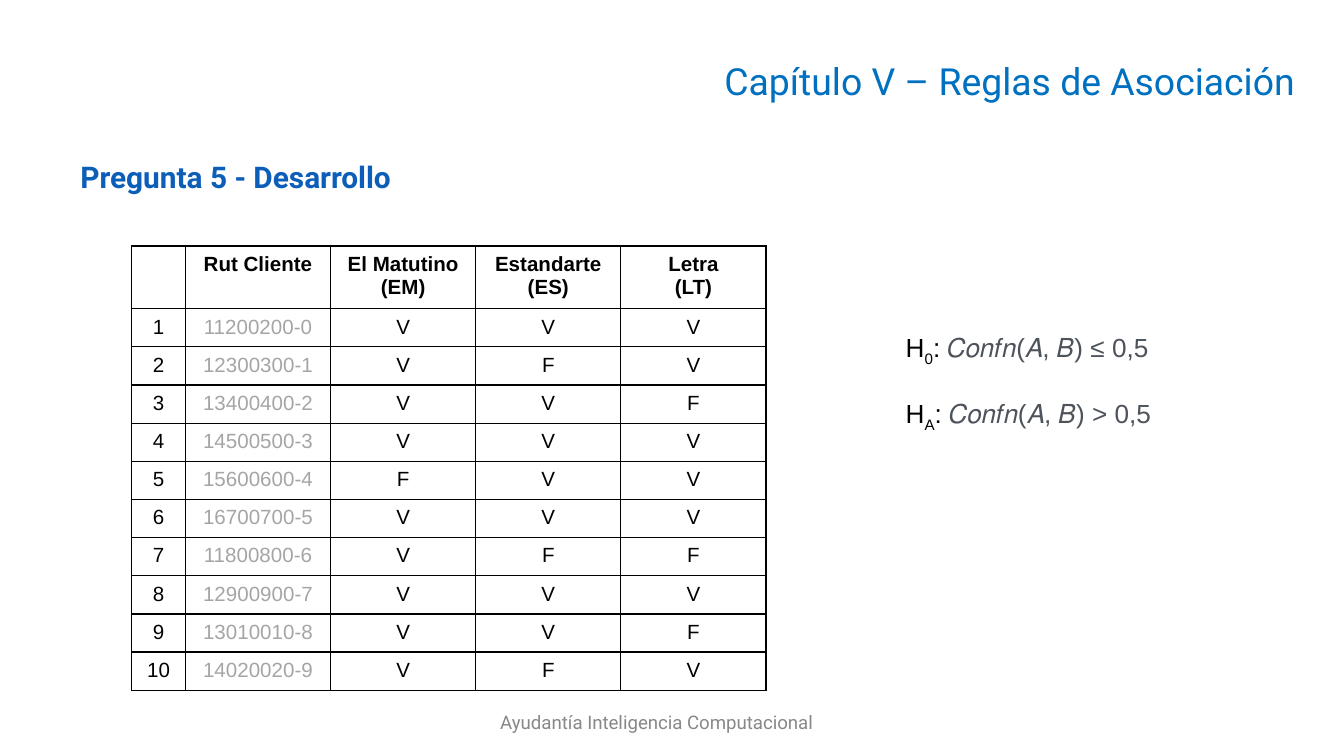
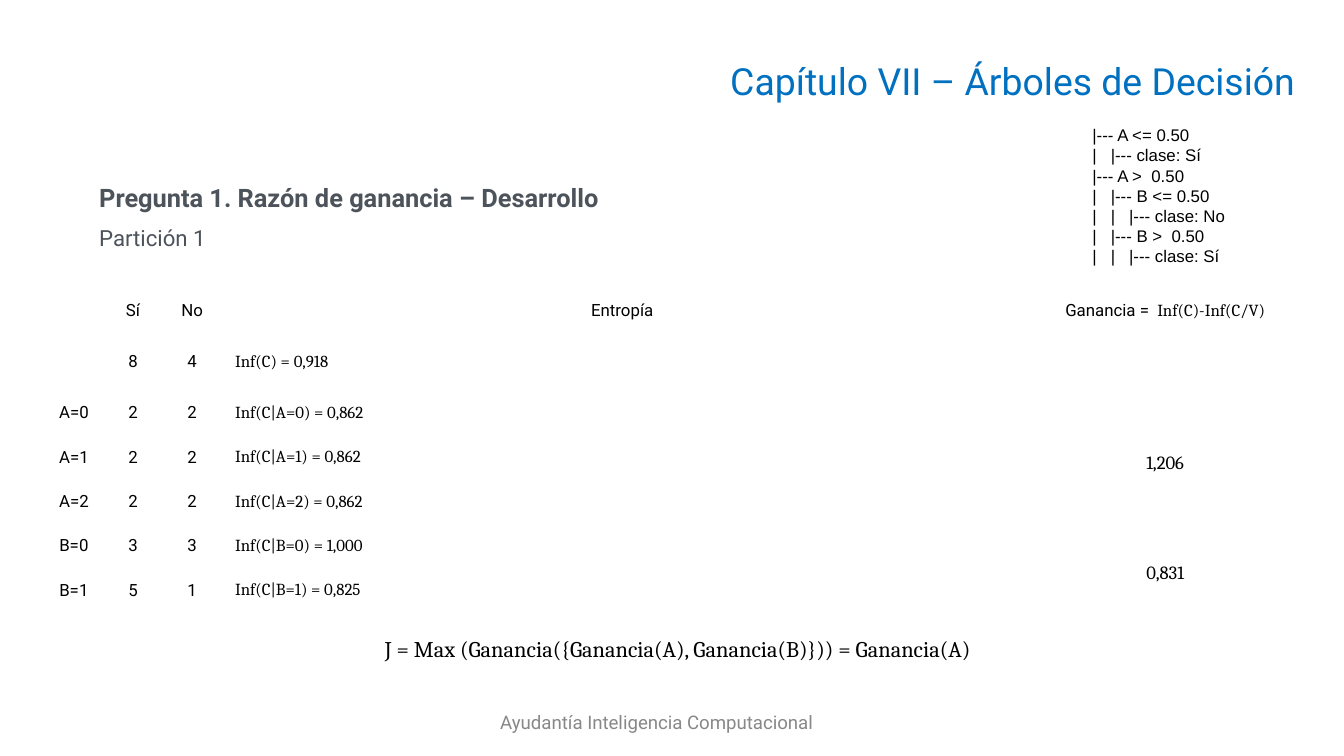
from lxml import etree
from pptx import Presentation
from pptx.dml.color import RGBColor
from pptx.enum import text
from pptx.oxml import ns
from pptx.util import Inches, Pt

COLORS = {"title": "0070C0", "heading": "0C5EB8", "body": "4D535B",
          "black": "000000", "muted": "A5A5A5", "footer": "888888"}
SANS, SERIF, PLAIN = "Roboto", "Cambria", "Arial"
ALIGN, ANCHOR = text.PP_ALIGN, text.MSO_ANCHOR
FOOTER = "Ayudantía Inteligencia Computacional"


def style(font, size=None, name=None, color=None, bold=None):
    if size:
        font.size = Pt(size)
    if name:
        font.name = name
    if color:
        font.color.rgb = RGBColor.from_string(COLORS[color])
    if bold is not None:
        font.bold = bold


def add_run(p, words, subscript=False, **look):
    r = p.add_run()
    r.text = words
    style(r.font, **look)
    if subscript:
        r._r.get_or_add_rPr().set("baseline", "-25000")


def write(tf, lines, align=ALIGN.LEFT, **look):
    """Put one equally styled paragraph per line into a text frame."""
    tf.text = "\n".join(lines)
    for p in tf.paragraphs:
        p.alignment = align
        style(p.font, **look)


def add_text_box(s, box, lines=("",), anchor=ANCHOR.TOP, **look):
    tf = s.shapes.add_textbox(*map(Inches, box)).text_frame
    tf.word_wrap = True
    tf.vertical_anchor = anchor
    write(tf, lines, **look)
    return tf


def add_base_slide(prs, title):
    """Add a slide with the shared title style and footer."""
    s = prs.slides.add_slide(prs.slide_layouts[5])
    sp = s.shapes.title
    sp.left, sp.top, sp.width, sp.height = map(Inches, (2.09, 0.29, 7.65, 0.62))
    tf = sp.text_frame
    tf.auto_size = text.MSO_AUTO_SIZE.NONE
    tf.vertical_anchor = ANCHOR.MIDDLE
    write(tf, [title], ALIGN.RIGHT, size=20, name=SANS, color="title")
    add_text_box(s, (2.05, 5.18, 5.67, 0.39), [FOOTER], ANCHOR.MIDDLE,
                 align=ALIGN.CENTER, size=10, name=SANS, color="footer")
    return s


def add_plain_table(s, left, top, widths, heights):
    """Add a table without banding or fills."""
    box = map(Inches, (left, top, sum(widths), sum(heights)))
    table = s.shapes.add_table(len(heights), len(widths), *box).table
    table.first_row = table.horz_banding = False
    for column, width in zip(table.columns, widths):
        column.width = Inches(width)
    for row, height in zip(table.rows, heights):
        row.height = Inches(height)
    for cell in table.iter_cells():
        cell.fill.background()
    return table


def set_borders(cell, color, width):
    tcPr = cell._tc.get_or_add_tcPr()
    for i, side in enumerate(("lnL", "lnR", "lnT", "lnB")):
        ln = etree.Element(ns.qn("a:" + side), w=str(Pt(width)))
        fill = etree.SubElement(ln, ns.qn("a:solidFill"))
        etree.SubElement(fill, ns.qn("a:srgbClr"), val=COLORS[color])
        tcPr.insert(i, ln)


def add_client_table(s, left, top):
    header = ["", "Rut Cliente", "El Matutino (EM)", "Estandarte\n(ES)", "Letra\n(LT)"]
    clients = [("11200200-0", "VVV"), ("12300300-1", "VFV"), ("13400400-2", "VVF"),
               ("14500500-3", "VVV"), ("15600600-4", "FVV"), ("16700700-5", "VVV"),
               ("11800800-6", "VFF"), ("12900900-7", "VVV"), ("13010010-8", "VVF"),
               ("14020020-9", "VFV")]
    rows = [header] + [[str(n), rut, *reads] for n, (rut, reads) in enumerate(clients, 1)]
    table = add_plain_table(s, left, top, [0.4] + [1.08] * 4, [0.28] * len(rows))
    for i, row in enumerate(rows):
        for j, words in enumerate(row):
            cell = table.cell(i, j)
            set_borders(cell, "black", 0.75)
            write(cell.text_frame, words.split("\n"), ALIGN.CENTER, size=11, name=PLAIN,
                  color="muted" if i and j == 1 else "black", bold=i == 0)


def add_hypotheses(s, box):
    tf = add_text_box(s, box)
    for i, (index, relation) in enumerate([("0", "≤"), ("A", ">")]):
        p = tf.add_paragraph() if i else tf.paragraphs[0]
        p.space_before = Pt(16 * i)
        style(p.font, size=14, name=PLAIN, color="black")
        add_run(p, "H")
        add_run(p, index, subscript=True)
        add_run(p, ": ")
        add_run(p, f"𝐶𝑜𝑛𝑓𝑛(𝐴, 𝐵) {relation} 0,5", color="body")


def add_gain_table(s, left, top):
    rows = [("", "Sí", "No", "Entropía"),
            ("", "8", "4", "Inf(C) = 0,918"),
            ("A=0", "2", "2", "Inf(C|A=0) = 0,862"),
            ("A=1", "2", "2", "Inf(C|A=1) = 0,862"),
            ("A=2", "2", "2", "Inf(C|A=2) = 0,862"),
            ("B=0", "3", "3", "Inf(C|B=0) = 1,000"),
            ("B=1", "5", "1", "Inf(C|B=1) = 0,825")]
    table = add_plain_table(s, left, top, [0.44] * 3 + [5.96, 2.12],
                            [0.38] * 2 + [0.33] * 5)
    for i, row in enumerate(rows):
        for j, words in enumerate(row):
            formula = i > 0 and j == 3
            write(table.cell(i, j).text_frame, [words],
                  ALIGN.LEFT if formula else ALIGN.CENTER,
                  size=9, name=SERIF if formula else SANS, color="black")
    p = table.cell(0, 4).text_frame.paragraphs[0]
    p.alignment = ALIGN.CENTER
    style(p.font, size=9, color="black")
    add_run(p, "Ganancia =  ", name=SANS)
    add_run(p, "Inf(C)-Inf(C/V)", name=SERIF)
    write(table.cell(1, 4).text_frame, [""], size=9)
    for first, last, gain in [(2, 4, "1,206"), (5, 6, "0,831")]:
        cell = table.cell(first, 4)
        cell.merge(table.cell(last, 4))
        cell.vertical_anchor = ANCHOR.MIDDLE
        write(cell.text_frame, [gain], ALIGN.CENTER, size=10, name=SERIF, color="black")


def add_decision_tree(s, box):
    nodes = [(0, "A <= 0.50"), (1, "clase: Sí"), (0, "A >  0.50"), (1, "B <= 0.50"),
             (2, "clase: No"), (1, "B >  0.50"), (2, "clase: Sí")]
    add_text_box(s, box, ["|   " * depth + "|--- " + rule for depth, rule in nodes],
                 size=9, name=PLAIN, color="black")


def add_question_heading(s, box):
    tf = add_text_box(s, box, ["Pregunta 1. Razón de ganancia – Desarrollo", "Partición 1"],
                      align=ALIGN.JUSTIFY, name=SANS, color="body")
    question, partition = tf.paragraphs
    style(question.font, size=13.6, bold=True)
    style(partition.font, size=11.9)
    partition.space_before = Pt(6)
    for p in tf.paragraphs:
        p._p.get_or_add_pPr().set("marL", str(Inches(0.14)))


def build_association_slide(prs):
    s = add_base_slide(prs, "Capítulo V – Reglas de Asociación")
    tf = add_text_box(s, (0.5, 1.08, 9, 3.71), ["Pregunta 5 - Desarrollo"],
                      align=ALIGN.JUSTIFY, size=16, name=SANS, color="heading", bold=True)
    tf.paragraphs[0].line_spacing = 1.2
    add_client_table(s, 0.98, 1.83)
    add_hypotheses(s, (6.64, 2.42, 2.14, 0.81))


def build_decision_tree_slide(prs):
    s = add_base_slide(prs, "Capítulo VII – Árboles de Decisión")
    add_question_heading(s, (0.5, 1.31, 9, 0.7))
    add_gain_table(s, 0.33, 2.19)
    add_text_box(s, (2.62, 4.68, 4.85, 0.3),
                 ["J = Max (Ganancia({Ganancia(A), Ganancia(B)})) = Ganancia(A)"],
                 align=ALIGN.CENTER, size=12, name=SERIF, color="black")
    add_decision_tree(s, (8.03, 0.88, 1.34, 1.31))


def main():
    prs = Presentation()
    prs.slide_width = Inches(10)
    prs.slide_height = prs.slide_width * 9 // 16
    build_association_slide(prs)
    build_decision_tree_slide(prs)
    prs.save("out.pptx")


if __name__ == "__main__":
    main()
